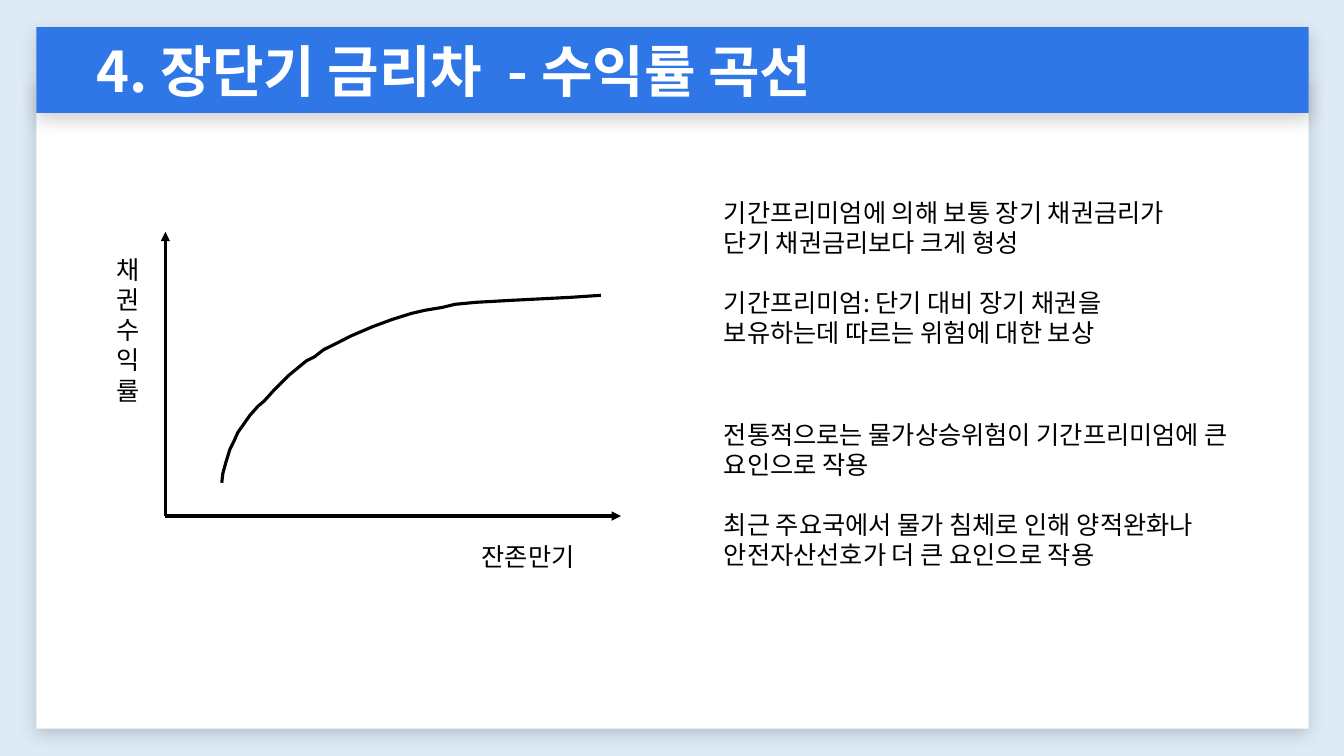
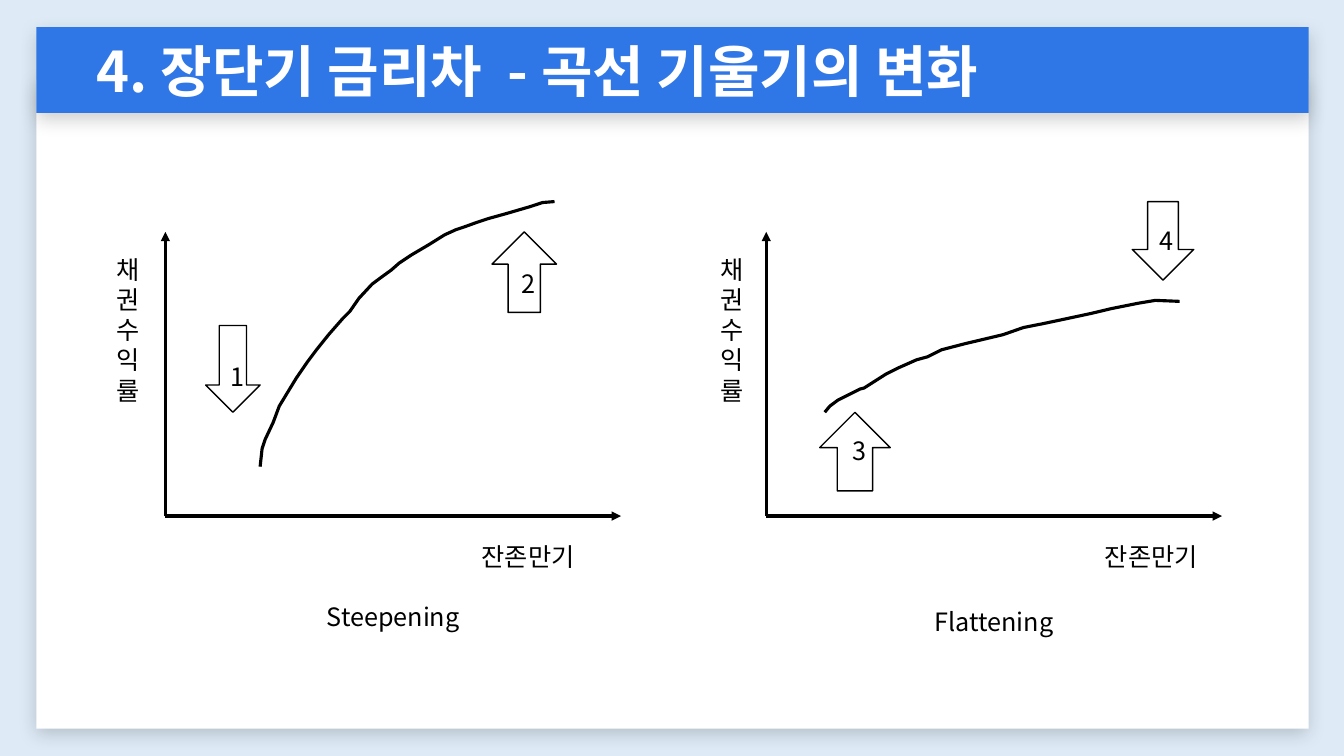
from dataclasses import dataclass

from lxml import etree
from pptx import Presentation
from pptx import util as u
from pptx.dml.color import RGBColor
from pptx.enum import shapes, text
from pptx.oxml import ns

PX = 9144  # 100 px to the inch


@dataclass(frozen=True)
class Theme:
    page: str = "DEEBF7"
    band: str = "2F77E6"
    paper: str = "FFFFFF"
    ink: str = "000000"
    font: str = "Noto Sans CJK KR"
    title_size: int = 40
    text_size: int = 18
    paragraph_gap: int = 21
    stroke: float = 2.25
    outline: float = 1


THEME = Theme()

# Curves: px to the right of and above the corner of the axes
NORMAL = [
    (56, 33), (57, 42), (60, 53), (64, 66), (68, 74), (72, 83), (84, 100),
    (92, 109), (98, 114), (107, 124), (123, 140), (140, 154), (148, 158),
    (157, 165), (173, 173), (185, 179), (206, 188), (225, 195), (244, 201),
    (257, 204), (275, 207), (287, 210), (308, 212), (344, 214), (403, 217),
    (432, 219),
]
STEEP = [
    (94, 49), (96, 67), (99, 76), (107, 93), (113, 109), (119, 119),
    (130, 137), (141, 153), (150, 165), (162, 180), (176, 196), (183, 203),
    (192, 216), (205, 230), (213, 236), (224, 244), (232, 251), (244, 259),
    (261, 269), (277, 279), (288, 284), (297, 287), (308, 291), (320, 295),
    (338, 300), (362, 307), (374, 311), (386, 312),
]
FLAT = [
    (58, 103), (63, 109), (71, 115), (93, 126), (97, 127), (119, 141),
    (131, 147), (149, 155), (160, 158), (174, 165), (197, 171), (214, 175),
    (235, 180), (255, 187), (275, 191), (294, 195), (322, 201), (343, 206),
    (368, 211), (386, 214), (410, 213),
]


# Shared helpers
def px(*lengths):
    return [length * PX for length in lengths]


def place(shape, box):
    shape.left, shape.top, shape.width, shape.height = px(*box)


def paint(shape, color):
    shape.fill.solid()
    shape.fill.fore_color.rgb = RGBColor.from_string(color)


def stroke(shape, width):
    shape.line.width = u.Pt(width)
    shape.line.color.rgb = RGBColor.from_string(THEME.ink)


def set_effects(shape, shadow=False):
    """Replace the theme shadow by none, or by the soft shadow of the frame."""
    effects = etree.SubElement(shape.element.spPr, ns.qn("a:effectLst"))
    if shadow:
        outer = etree.SubElement(
            effects, ns.qn("a:outerShdw"), blurRad=str(u.Pt(13)),
            dist=str(u.Pt(4)), dir="5400000", algn="t", rotWithShape="0")
        color = etree.SubElement(outer, ns.qn("a:srgbClr"), val=THEME.ink)
        etree.SubElement(color, ns.qn("a:alpha"), val="19000")


def style(paragraph, size=THEME.text_size, color=THEME.ink, bold=False,
          align=text.PP_ALIGN.LEFT):
    paragraph.alignment = align
    font = paragraph.font
    font.size, font.bold, font.name = u.Pt(size), bold, THEME.font
    font.color.rgb = RGBColor.from_string(color)
    for properties in paragraph._p.iter(ns.qn("a:defRPr")):
        etree.SubElement(properties, ns.qn("a:ea"), typeface=THEME.font)


def set_indent(paragraph, left):
    properties = paragraph._p.get_or_add_pPr()
    properties.set("marL", str(left * PX))
    properties.set("indent", "0")


def add_text(slide, box, content, align=text.PP_ALIGN.LEFT):
    frame = slide.shapes.add_textbox(*px(*box)).text_frame
    frame.word_wrap = True
    frame.auto_size = text.MSO_AUTO_SIZE.SHAPE_TO_FIT_TEXT
    frame.text = content
    for paragraph in frame.paragraphs:
        style(paragraph, align=align)


# Frame: white card under a blue title band
def add_frame(slide, title_text):
    left, width = 36, 1262
    title = slide.shapes.title
    place(title, (left, 27, width, 85))
    paint(title, THEME.band)
    set_effects(title, shadow=True)
    frame = title.text_frame
    frame.text = title_text
    frame.auto_size = text.MSO_AUTO_SIZE.NONE
    frame.vertical_anchor = text.MSO_ANCHOR.MIDDLE
    style(frame.paragraphs[0], THEME.title_size, THEME.paper, bold=True)
    set_indent(frame.paragraphs[0], 50)

    card = slide.shapes.add_shape(
        shapes.MSO_SHAPE.RECTANGLE, *px(left, 79, width, 644))
    paint(card, THEME.paper)
    card.line.fill.background()
    set_effects(card, shadow=True)
    title.element.addprevious(card.element)


# Notes: plain paragraphs in a body placeholder
def fill_notes(placeholder, box, notes):
    place(placeholder, box)
    frame = placeholder.text_frame
    frame.text = "\n".join(notes)
    frame.auto_size = text.MSO_AUTO_SIZE.SHAPE_TO_FIT_TEXT
    for index, paragraph in enumerate(frame.paragraphs):
        paragraph.space_before = u.Pt(THEME.paragraph_gap if index else 0)
        style(paragraph)
        set_indent(paragraph, 0)
        bullet = etree.Element(ns.qn("a:buNone"))
        paragraph._p.pPr.find(ns.qn("a:defRPr")).addprevious(bullet)


# Yield chart: axes, their names and one curve, set from the axes' corner
def add_axis(slide, start, end):
    axis = slide.shapes.add_connector(
        shapes.MSO_CONNECTOR.STRAIGHT, *px(*start, *end))
    stroke(axis, THEME.stroke)
    etree.SubElement(axis.line._get_or_add_ln(), ns.qn("a:tailEnd"),
                     type="triangle")
    set_effects(axis)


def add_yield_chart(slide, corner, curve, yield_offset=58, maturity_offset=304):
    x, y = corner
    add_axis(slide, corner, (x, y - 282))
    add_axis(slide, corner, (x + 452, y))
    add_text(slide, (x - yield_offset, y - 265, 38, 162), "\n".join("채권수익률"))
    add_text(slide, (x + maturity_offset, y + 20, 214, 40), "잔존만기")

    points = [(x + right, y - up) for right, up in curve]
    builder = slide.shapes.build_freeform(*points[0], scale=PX)
    builder.add_line_segments(points[1:], close=False)
    line = builder.convert_to_shape()
    line.fill.background()
    stroke(line, THEME.stroke)
    set_effects(line)


# Numbered block arrow, set from the axes' corner
def add_shift_arrow(slide, corner, kind, right, up, size, number, number_drop):
    left, top = corner[0] + right, corner[1] - up
    arrow = slide.shapes.add_shape(kind, *px(left, top, *size))
    paint(arrow, THEME.paper)
    stroke(arrow, THEME.outline)
    set_effects(arrow)
    number_width = 14
    add_text(slide, (left + (size[0] - number_width) // 2, top + number_drop,
                     number_width, 40), number, text.PP_ALIGN.CENTER)


# Slides
def build_curve_slide(presentation):
    slide = presentation.slides.add_slide(presentation.slide_layouts[3])
    add_frame(slide, "4. 장단기 금리차  - 수익률 곡선")
    add_yield_chart(slide, (164, 512), NORMAL)
    upper, lower = list(slide.placeholders)[1:]
    fill_notes(upper, (708, 191, 478, 162), [
        "기간프리미엄에 의해 보통 장기 채권금리가 단기 채권금리보다 크게 형성",
        "기간프리미엄: 단기 대비 장기 채권을 보유하는데 따르는 위험에 대한 보상",
    ])
    fill_notes(lower, (708, 411, 524, 162), [
        "전통적으로는 물가상승위험이 기간프리미엄에 큰 요인으로 작용",
        "최근 주요국에서 물가 침체로 인해 양적완화나 안전자산선호가 더 큰 요인으로 작용",
    ])


def build_slope_slide(presentation):
    slide = presentation.slides.add_slide(presentation.slide_layouts[5])
    add_frame(slide, "4. 장단기 금리차  - 곡선 기울기의 변화")
    steep, flat = (164, 512), (760, 512)
    add_yield_chart(slide, steep, STEEP)
    add_yield_chart(slide, flat, FLAT, yield_offset=55, maturity_offset=326)

    down, up = shapes.MSO_SHAPE.DOWN_ARROW, shapes.MSO_SHAPE.UP_ARROW
    for arrow in [
        (steep, down, 40, 189, (54, 86), "1", 31),
        (steep, up, 324, 282, (64, 80), "2", 31),
        (flat, up, 53, 103, (70, 78), "3", 18),
        (flat, down, 363, 312, (61, 78), "4", 19),
    ]:
        add_shift_arrow(slide, *arrow)

    for (x, y), drop, caption in [(steep, 80, "Steepening"),
                                  (flat, 85, "Flattening")]:
        add_text(slide, (x + 19, y + drop, 414, 40), caption,
                 text.PP_ALIGN.CENTER)


def main():
    presentation = Presentation()
    presentation.slide_width, presentation.slide_height = px(1333, 750)
    paint(presentation.slide_master.background, THEME.page)
    build_curve_slide(presentation)
    build_slope_slide(presentation)
    presentation.save("out.pptx")


if __name__ == "__main__":
    main()
